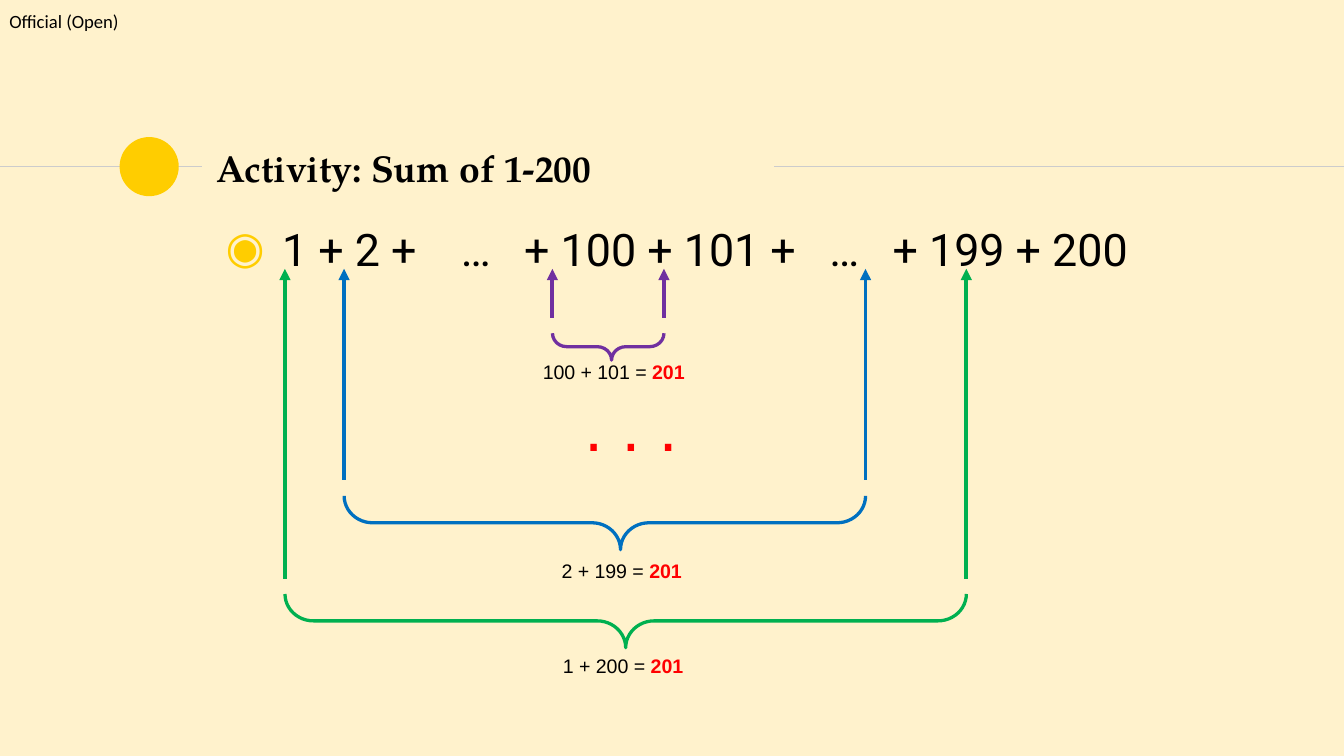
from lxml import etree
from pptx import Presentation
from pptx.dml.color import RGBColor
from pptx.enum.shapes import MSO_CONNECTOR, MSO_SHAPE
from pptx.enum.text import MSO_ANCHOR
from pptx.oxml.ns import qn
from pptx.util import Inches, Pt

STRAIGHT = MSO_CONNECTOR.STRAIGHT
OVAL = MSO_SHAPE.OVAL
RIGHT_BRACE = MSO_SHAPE.RIGHT_BRACE
MIDDLE = MSO_ANCHOR.MIDDLE

CREAM, YELLOW, GREY = "FFF2CC", "FFCD00", "CCCCCC"
BLACK, RED = "000000", "FF0000"
GREEN, BLUE, PURPLE = "00B050", "0070C0", "7030A0"

ARROW_TOP = 2
WIDE_GAP, GAP = 17.8, 11.9  # points added after a single space

# colour, left x, right x, arrow bottom, brace top, brace depth,
# brace point, label left, label top, label width, sum
PAIRS = [
    (GREEN, 2.12, 7.19, 4.31, 4.42, 0.4, 0.5, 4.09, 4.82, 1.11, "1 + 200 = "),
    (BLUE, 2.56, 6.44, 3.57, 3.69, 0.4, 0.47, 4.08, 4.11, 1.11, "2 + 199 = "),
    (PURPLE, 4.11, 4.94, 2.37, 2.48, 0.2, 0.47, 3.94, 2.63, 1.28, "100 + 101 = "),
]


def color(value):
    return RGBColor.from_string(value)


def add_line(page, start, end, line_color, width, arrow=False):
    """Draw a straight line, with an arrowhead at its start if asked."""
    line = page.shapes.add_connector(STRAIGHT, *map(Inches, start + end))
    line.line.color.rgb = color(line_color)
    line.line.width = Pt(width)
    if arrow:
        etree.SubElement(line.line._get_or_add_ln(), qn("a:headEnd"), type="triangle")
    etree.SubElement(line._element.spPr, qn("a:effectLst"))


def add_text_box(page, left, top, width, height, inset=None, wrap=True):
    """Add a text box and return its text frame."""
    box = page.shapes.add_textbox(*map(Inches, (left, top, width, height)))
    frame = box.text_frame
    frame.word_wrap = wrap
    if inset is not None:
        frame.margin_left = frame.margin_right = Inches(inset)
        frame.margin_top = frame.margin_bottom = Inches(inset)
    return frame


def add_run(para, text, font, size, text_color=BLACK, bold=False, spacing=0):
    span = para.add_run()
    span.text = text
    span.font.name = font
    span.font.size = Pt(size)
    span.font.bold = bold
    span.font.color.rgb = color(text_color)
    if spacing:
        span.font._element.set("spc", str(round(spacing * 100)))


def add_bullet(para, mark, mark_color, margin, indent):
    props = para._p.get_or_add_pPr()
    props.set("marL", str(Inches(margin)))
    props.set("indent", str(Inches(indent)))
    fill = etree.SubElement(props, qn("a:buClr"))
    etree.SubElement(fill, qn("a:srgbClr"), val=mark_color)
    etree.SubElement(props, qn("a:buFont"), typeface="Roboto")
    etree.SubElement(props, qn("a:buChar"), char=mark)


def add_brace(page, left, right, top, depth, point, line_color):
    """Add a brace that opens upwards and spans left to right."""
    span = right - left
    # The frame is placed upright around the centre, then turned.
    brace = page.shapes.add_shape(
        RIGHT_BRACE,
        Inches((left + right - depth) / 2), Inches(top + (depth - span) / 2),
        Inches(depth), Inches(span))
    brace.rotation = 90
    brace.adjustments[0] = 0.53
    brace.adjustments[1] = point
    brace.shadow.inherit = False
    brace.fill.background()
    brace.line.color.rgb = color(line_color)
    brace.line.width = Pt(1.75)


def add_pair(page, pair):
    """Join two numbers of the series and show their sum."""
    (pair_color, left, right, bottom, brace_top, depth, point,
     label_left, label_top, label_width, terms) = pair
    for x in (left, right):
        add_line(page, (x, ARROW_TOP), (x, bottom), pair_color, 2, arrow=True)
    add_brace(page, left, right, brace_top, depth, point, pair_color)
    label = add_text_box(page, label_left, label_top, label_width, 0.28, wrap=False)
    add_run(label.paragraphs[0], terms, "Arial", 10.5)
    add_run(label.paragraphs[0], "201", "Arial", 10.5, RED, bold=True)


def add_header(page):
    marking = add_text_box(page, 0.07, 0.07, 0.85, 0.17, inset=0)
    add_run(marking.paragraphs[0], "Official (Open)", "Calibri", 10)

    add_line(page, (0, 1.24), (1.5, 1.24), GREY, 0.75)
    dot = page.shapes.add_shape(OVAL, *map(Inches, (0.89, 1.02, 0.44, 0.44)))
    dot.shadow.inherit = False
    dot.fill.solid()
    dot.fill.fore_color.rgb = color(YELLOW)
    dot.line.fill.background()
    add_line(page, (5.76, 1.24), (10, 1.24), GREY, 0.75)

    title = add_text_box(page, 1.51, 1.01, 4.24, 0.48, inset=0.1)
    title.vertical_anchor = MIDDLE
    add_run(title.paragraphs[0], "Activity: Sum of 1-200", "TeX Gyre Pagella", 20, bold=True)


def add_series(page):
    para = add_text_box(page, 1.5, 1.55, 7.45, 3.4, inset=0.1).paragraphs[0]
    add_bullet(para, "◉", YELLOW, 0.5, -0.42)
    parts = [("1 + 2 +", WIDE_GAP), ("…", GAP), ("+ 100 + 101 +", GAP),
             ("…", GAP), ("+ 199 + 200", None)]
    for text, gap in parts:
        add_run(para, text, "Roboto", 24)
        if gap:
            add_run(para, " ", "Roboto", 24, spacing=gap)


def main():
    deck = Presentation()
    deck.slide_width = Inches(10)
    deck.slide_height = deck.slide_width * 9 // 16
    page = deck.slides.add_slide(deck.slide_layouts[6])
    page.background.fill.solid()
    page.background.fill.fore_color.rgb = color(CREAM)

    add_header(page)
    add_series(page)
    for pair in PAIRS:
        add_pair(page, pair)
    dots = add_text_box(page, 4.25, 2.81, 0.9, 0.71)
    add_run(dots.paragraphs[0], ". . .", "Arial", 36, RED)

    deck.save("out.pptx")


if __name__ == "__main__":
    main()
